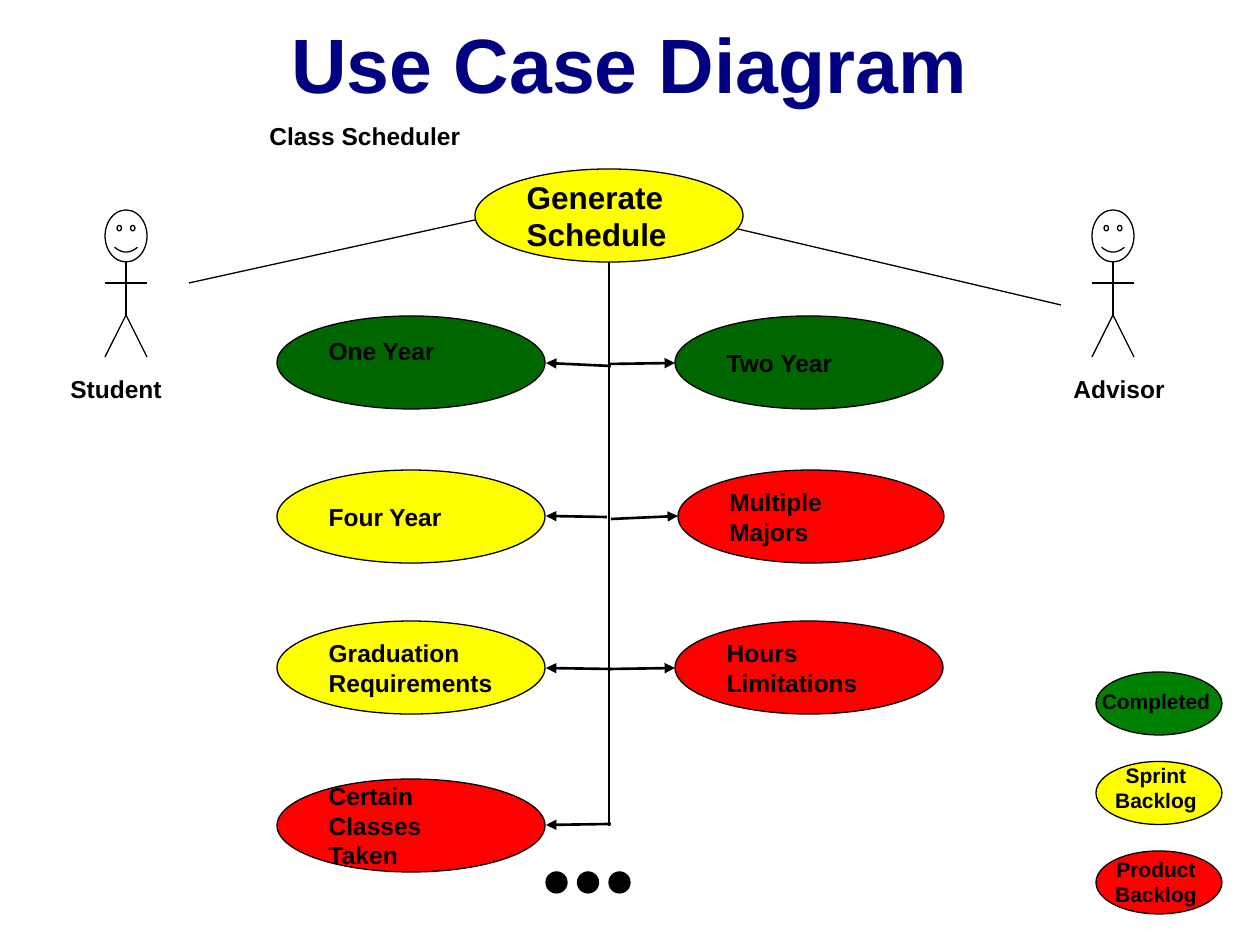
import pptx
import pptx.dml.color
import pptx.enum.shapes
import pptx.enum.text
import pptx.oxml
import pptx.oxml.ns
import pptx.util

SHAPE = pptx.enum.shapes.MSO_SHAPE
ANCHOR = pptx.enum.text.MSO_ANCHOR
ALIGN = pptx.enum.text.PP_ALIGN
SCALE = 914400 / 126  # EMU per pixel


class Theme:
    font = "Arial"
    title_color, ink = "000080", "000000"
    finished, completed = "006600", "008000"
    sprint, product = "FFFF00", "FF0000"
    title_size, main_size, body_size, legend_size = 44, 18, 14, 12
    thin, thick = 0.75, 1.5


def px(*lengths):
    return [round(length * SCALE) for length in lengths]


def rgb(color):
    return pptx.dml.color.RGBColor.from_string(color)


class Diagram:
    def __init__(self, slide, theme):
        self.slide, self.theme = slide, theme

    def add_text(self, frame, lines, size, color=None, align=ALIGN.LEFT, anchor=ANCHOR.TOP):
        frame.word_wrap = True
        frame.auto_size = pptx.enum.text.MSO_AUTO_SIZE.NONE
        frame.vertical_anchor = anchor
        for index, line in enumerate(lines):
            paragraph = frame.add_paragraph() if index else frame.paragraphs[0]
            paragraph.alignment = align
            run = paragraph.add_run()
            run.text = line
            run.font.name = self.theme.font
            run.font.size = pptx.util.Pt(size)
            run.font.bold = True
            run.font.color.rgb = rgb(color or self.theme.ink)

    def title(self, box, text):
        heading = self.slide.shapes.title
        heading.left, heading.top, heading.width, heading.height = px(*box)
        self.add_text(heading.text_frame, [text], self.theme.title_size,
                      self.theme.title_color, ALIGN.CENTER, ANCHOR.MIDDLE)

    def label(self, box, lines, size, align=ALIGN.LEFT):
        caption = self.slide.shapes.add_textbox(*px(*box))
        self.add_text(caption.text_frame, lines, size, align=align)

    def shape(self, kind, box, fill=None, parent=None):
        outline = (parent or self.slide).shapes.add_shape(kind, *px(*box))
        outline.shadow.inherit = False
        if fill:
            outline.fill.solid()
            outline.fill.fore_color.rgb = rgb(fill)
        else:
            outline.fill.background()
        outline.line.color.rgb = rgb(self.theme.ink)
        outline.line.width = pptx.util.Pt(self.theme.thin)
        return outline

    def use_case(self, box, fill, text, size, anchor=ANCHOR.MIDDLE):
        oval = self.shape(SHAPE.OVAL, box, fill)
        self.add_text(oval.text_frame, [text], size, anchor=anchor)

    def line(self, points, width, arrow=False, parent=None):
        link = (parent or self.slide).shapes.add_connector(
            pptx.enum.shapes.MSO_CONNECTOR.STRAIGHT, *px(*points))
        link.line.color.rgb = rgb(self.theme.ink)
        link.line.width = pptx.util.Pt(width)
        properties = link.element.spPr
        if arrow:
            properties.find(pptx.oxml.ns.qn("a:ln")).append(pptx.oxml.parse_xml(
                '<a:tailEnd %s type="triangle"/>' % pptx.oxml.ns.nsdecls("a")))
        properties.append(pptx.oxml.parse_xml(
            "<a:effectLst %s/>" % pptx.oxml.ns.nsdecls("a")))

    def actor(self, center):
        figure = self.slide.shapes.add_group_shape()
        face = self.shape(SHAPE.SMILEY_FACE, (center - 21, 210, 42, 52), parent=figure)
        face.adjustments[0] = 0.047
        body = (center, 262, center, 315)
        legs = [(center, 315, center + side, 357) for side in (21, -21)]
        arms = (center - 21, 283, center + 21, 283)
        for limb in (body, *legs, arms):
            self.line(limb, self.theme.thin, parent=figure)


theme = Theme()
deck = pptx.Presentation()
deck.slide_width, deck.slide_height = px(1260, 945)
diagram = Diagram(deck.slides.add_slide(deck.slide_layouts[5]), theme)

# Headings
diagram.title((94, 10, 1071, 105), "Use Case Diagram")
diagram.label((257, 115, 228, 101), ["Class Scheduler"], theme.body_size)

# Actors and their links to the main use case
for center, name, left, width, link in [
        (126, "Student", 58, 141, (189, 283, 475, 220)),
        (1113, "Advisor", 1061, 150, (1061, 305, 738, 229))]:
    diagram.actor(center)
    diagram.label((left, 368, width, 42), [name], theme.body_size)
    diagram.line(link, theme.thin)

# Continuation dots
for index in range(3):
    diagram.shape(SHAPE.OVAL, (546 + 31.5 * index, 872, 21, 21), theme.ink)

# Legend
for row, (color, words, label_top) in enumerate([
        (theme.completed, ["Completed"], 682),
        (theme.sprint, ["Sprint", "Backlog"], 756),
        (theme.product, ["Product", "Backlog"], 850)]):
    diagram.shape(SHAPE.OVAL, (1096, 672 + 89.5 * row, 126, 63), color)
    diagram.label((1071, label_top, 170, 63), words, theme.legend_size, ALIGN.CENTER)

# Use cases on both sides of the trunk
OVAL_WIDTH, OVAL_HEIGHT, LEFT, RIGHT = 268, 93, 277, 675
for left, top, width, color, name, anchor in [
        (LEFT, 316, OVAL_WIDTH, theme.finished, "One Year", ANCHOR.TOP),
        (RIGHT, 316, OVAL_WIDTH, theme.finished, "Two Year", ANCHOR.MIDDLE),
        (LEFT, 470, OVAL_WIDTH, theme.sprint, "Four Year", ANCHOR.MIDDLE),
        (RIGHT + 3, 470, OVAL_WIDTH - 2, theme.product, "Multiple Majors", ANCHOR.MIDDLE),
        (LEFT, 621, OVAL_WIDTH, theme.sprint, "Graduation Requirements", ANCHOR.MIDDLE),
        (RIGHT, 621, OVAL_WIDTH, theme.product, "Hours Limitations", ANCHOR.MIDDLE),
        (LEFT, 779, OVAL_WIDTH, theme.product, "Certain Classes Taken", ANCHOR.MIDDLE)]:
    diagram.use_case((left, top, width, OVAL_HEIGHT), color, name, theme.body_size, anchor)

# Trunk and branch arrows
diagram.line((609, 262, 609, 826), theme.thick)
for branch in [(611, 366, 546, 363), (609, 364, 675, 363),
               (607, 517, 546, 516), (611, 519, 678, 516),
               (611, 669, 546, 668), (609, 669, 675, 668),
               (611, 824, 546, 825)]:
    diagram.line(branch, theme.thick, arrow=True)

# Main use case
diagram.use_case((475, 169, OVAL_WIDTH, OVAL_HEIGHT), theme.sprint,
                 "Generate Schedule", theme.main_size)

deck.save("out.pptx")
